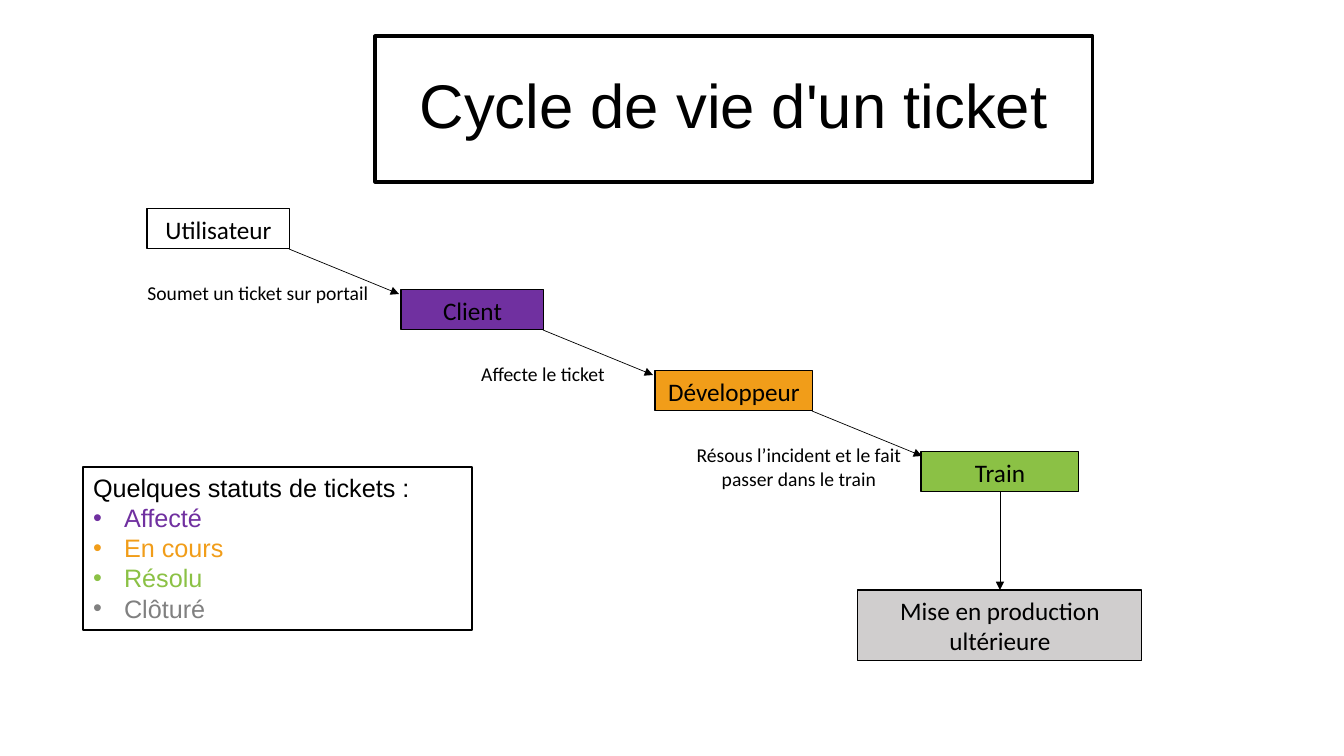
import dataclasses

import lxml.etree
import pptx
import pptx.dml.color
import pptx.enum.shapes
import pptx.enum.text
import pptx.oxml.ns
import pptx.util

SLIDE_WIDTH, SLIDE_HEIGHT = 1344, 756
EMU_PER_PX = 12192000 / SLIDE_WIDTH

ALIGN = pptx.enum.text.PP_ALIGN
ANCHOR = pptx.enum.text.MSO_ANCHOR
AUTO_SIZE = pptx.enum.text.MSO_AUTO_SIZE
qn = pptx.oxml.ns.qn


@dataclasses.dataclass(frozen=True)
class Theme:
    heading_font: str = "Arial"
    diagram_font: str = "Calibri"
    black: str = "000000"
    white: str = "FFFFFF"
    purple: str = "7030A0"
    orange: str = "F19D19"
    green: str = "8BC145"
    gray: str = "808080"
    light_gray: str = "D0CECE"
    title_size: int = 44
    text_size: int = 18
    label_size: int = 14
    title_border: float = 2.25
    list_border: float = 1.5
    step_border: float = 0.75
    arrow_line: float = 0.5


THEME = Theme()


def px(length):
    return pptx.util.Emu(round(length * EMU_PER_PX))


def color(value):
    return pptx.dml.color.RGBColor.from_string(value)


def place(shape, box):
    shape.left, shape.top, shape.width, shape.height = map(px, box)


def set_border(shape, width):
    shape.line.color.rgb = color(THEME.black)
    shape.line.width = pptx.util.Pt(width)


def add_run(paragraph, text, size, font, text_color=THEME.black):
    run = paragraph.add_run()
    run.text = text
    run.font.size = pptx.util.Pt(size)
    run.font.name = font
    run.font.color.rgb = color(text_color)


def set_bullet(paragraph, bullet, indent):
    properties = paragraph._p.get_or_add_pPr()
    properties.set("marL", str(px(indent)))
    properties.set("indent", str(-px(indent)))
    if bullet:
        font = lxml.etree.SubElement(properties, qn("a:buFont"))
        font.set("typeface", THEME.heading_font)
        lxml.etree.SubElement(properties, qn("a:buChar")).set("char", bullet)
    else:
        lxml.etree.SubElement(properties, qn("a:buNone"))


def fill_title(slide, box, text):
    title = slide.shapes.title
    place(title, box)
    set_border(title, THEME.title_border)
    title.text_frame.vertical_anchor = ANCHOR.MIDDLE
    paragraph = title.text_frame.paragraphs[0]
    paragraph.alignment = ALIGN.CENTER
    paragraph.line_spacing = 0.9
    add_run(paragraph, text, THEME.title_size, THEME.heading_font)


def fill_status_list(slide, box, heading, statuses):
    body = slide.placeholders[1]
    place(body, box)
    set_border(body, THEME.list_border)
    frame = body.text_frame
    # Fixed size keeps every line inside the border
    frame.auto_size = AUTO_SIZE.NONE
    frame.vertical_anchor = ANCHOR.TOP
    lines = [(heading, THEME.black, None, 0)]
    lines += [(text, tint, "•", 31) for text, tint in statuses]
    for index, (text, tint, bullet, indent) in enumerate(lines):
        paragraph = frame.add_paragraph() if index else frame.paragraphs[0]
        paragraph.alignment = ALIGN.LEFT
        paragraph.line_spacing = 1.0
        paragraph.space_before = pptx.util.Pt(0)
        set_bullet(paragraph, bullet, indent)
        add_run(paragraph, text, THEME.text_size, THEME.heading_font, tint)


def write_centered(shape, text, size):
    frame = shape.text_frame
    frame.word_wrap = True
    frame.auto_size = AUTO_SIZE.SHAPE_TO_FIT_TEXT
    frame.vertical_anchor = ANCHOR.TOP
    paragraph = frame.paragraphs[0]
    paragraph.alignment = ALIGN.CENTER
    add_run(paragraph, text, size, THEME.diagram_font)


def add_step(slide, box, text, fill):
    shape = slide.shapes.add_shape(
        pptx.enum.shapes.MSO_SHAPE.RECTANGLE, *map(px, box))
    shape.shadow.inherit = False
    shape.fill.solid()
    shape.fill.fore_color.rgb = color(fill)
    set_border(shape, THEME.step_border)
    write_centered(shape, text, THEME.text_size)
    return shape


def add_label(slide, box, text):
    label = slide.shapes.add_textbox(*map(px, box))
    write_centered(label, text, THEME.label_size)


def add_arrow(slide, start, end):
    arrow = slide.shapes.add_connector(
        pptx.enum.shapes.MSO_CONNECTOR.STRAIGHT, *map(px, start + end))
    set_border(arrow, THEME.arrow_line)
    line = arrow.line._get_or_add_ln()
    lxml.etree.SubElement(line, qn("a:tailEnd")).set("type", "triangle")
    lxml.etree.SubElement(arrow._element.spPr, qn("a:effectLst"))
    return arrow


def add_workflow(slide, box):
    left, top, width, height = box
    step_height, step_drop = 40, 81
    # Name, offset from the left, width, fill
    steps = [
        ("Utilisateur", 0, 143, THEME.white),
        ("Client", 254, 143, THEME.purple),
        ("Développeur", 508, 158, THEME.orange),
        ("Train", 774, 158, THEME.green),
    ]
    # Text, offset from the left, height
    actions = [
        ("Soumet un ticket sur portail", -11, 34),
        ("Affecte le ticket", 274, 34),
        ("Résous l’incident et le fait passer dans le train", 530, 57),
    ]

    # Descending steps
    for index, (name, offset, step_width, fill) in enumerate(steps):
        step_top = top + index * step_drop
        step = add_step(
            slide, (left + offset, step_top, step_width, step_height), name, fill)
        if index < len(actions):
            start = (left + offset + step_width - 1, step_top + step_height)
            add_arrow(slide, start, (start[0] + 110, start[1] + 45))
            text, label_offset, label_height = actions[index]
            add_label(slide, (left + label_offset, step_top + 67,
                              244, label_height), text)

    # Release below the last step
    release_width, release_height = 284, 71
    release_left = left + width - release_width
    release_top = top + height - release_height
    release = add_step(
        slide, (release_left, release_top, release_width, release_height),
        "Mise en production ultérieure", THEME.light_gray)
    center = release_left + release_width // 2
    arrow = add_arrow(slide, (center, step_top + step_height),
                      (center, release_top))
    arrow.begin_connect(step, 2)
    arrow.end_connect(release, 0)


def main():
    presentation = pptx.Presentation()
    presentation.slide_width = px(SLIDE_WIDTH)
    presentation.slide_height = px(SLIDE_HEIGHT)
    slide = presentation.slides.add_slide(presentation.slide_layouts[1])
    fill_title(slide, (375, 36, 718, 146), "Cycle de vie d'un ticket")
    add_workflow(slide, (147, 209, 995, 452))
    fill_status_list(slide, (83, 467, 389, 163), "Quelques statuts de tickets :", [
        ("Affecté", THEME.purple),
        ("En cours", THEME.orange),
        ("Résolu", THEME.green),
        ("Clôturé", THEME.gray),
    ])
    presentation.save("out.pptx")


if __name__ == "__main__":
    main()
